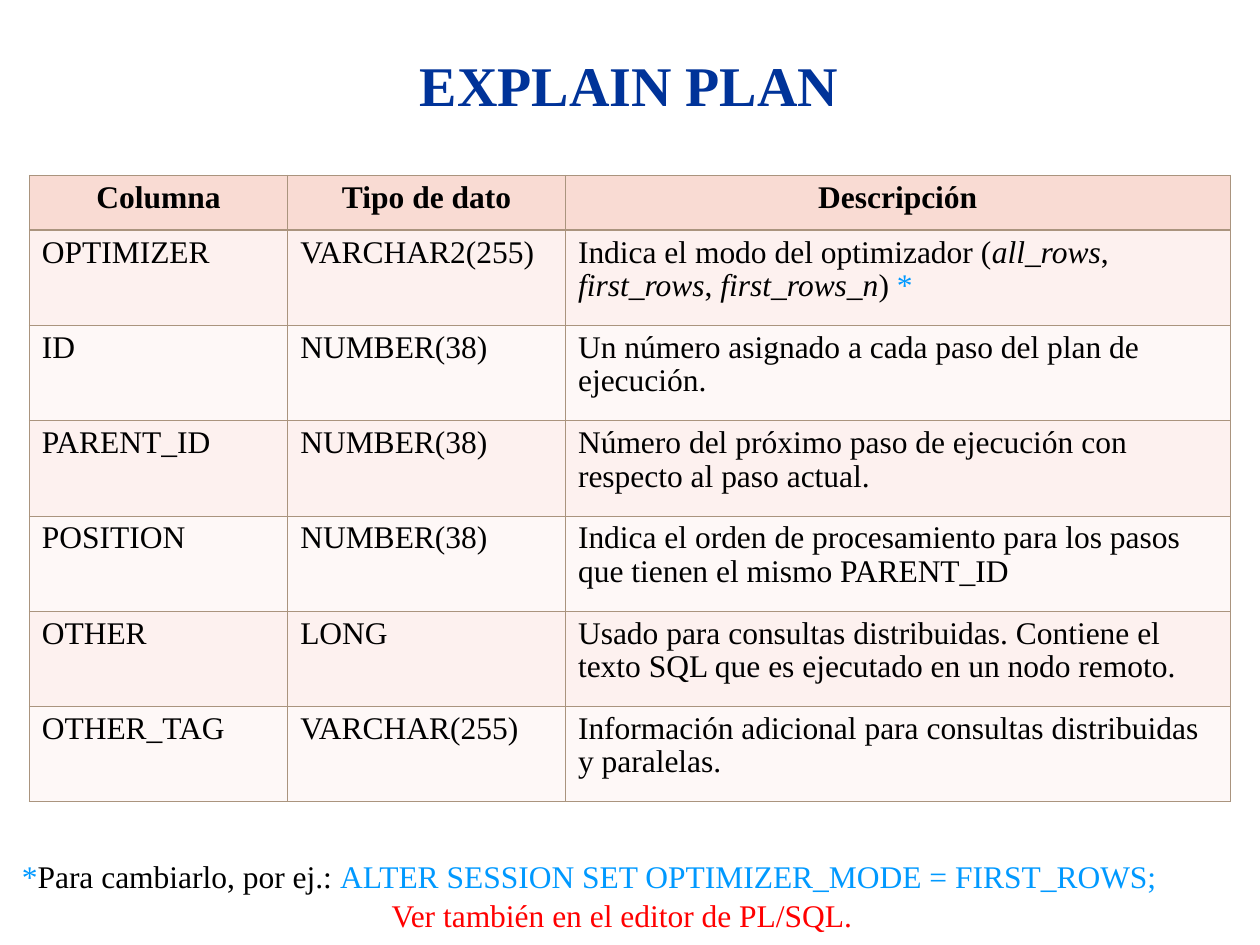
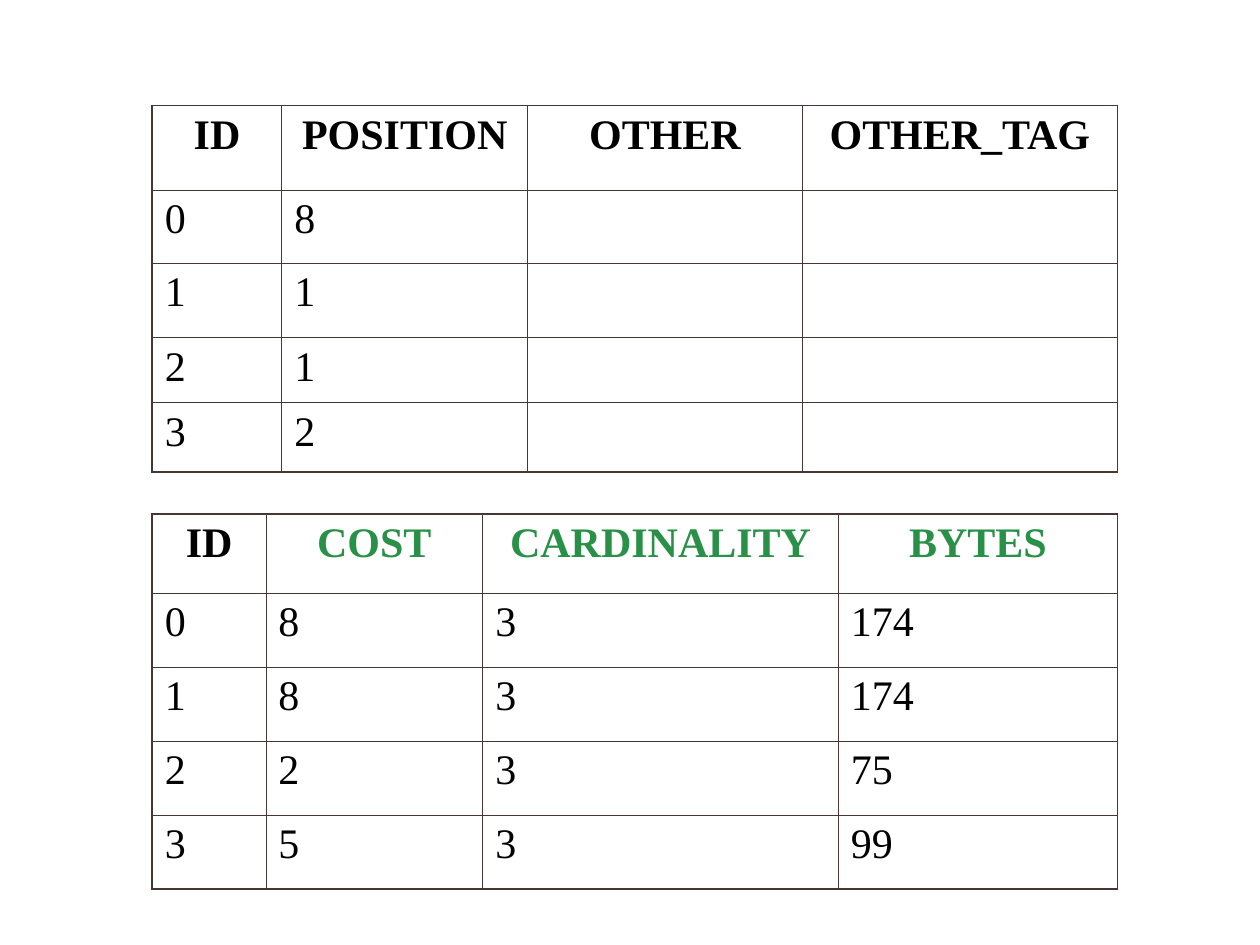
from dataclasses import dataclass
from typing import NamedTuple

from lxml.etree import SubElement
from pptx import Presentation
from pptx.dml.color import RGBColor as Color
from pptx.enum.text import PP_ALIGN as Align
from pptx.oxml.ns import qn
from pptx.util import Cm, Pt


@dataclass(frozen=True)
class Theme:
    font: str = "Times New Roman"
    text: str = "000000"
    title: str = "003399"
    code: str = "0099FF"
    notice: str = "FF0000"
    estimate: str = "299147"
    title_size: int = 32
    body_size: int = 18
    result_size: int = 24


THEME = Theme()


@dataclass(frozen=True)
class TableStyle:
    size: int
    line: str
    outer: float
    header_rule: float
    inner: float = 0.45
    line_spacing: float = 1.0
    header_fill: str = ""
    band_fills: tuple = ("", "")


DICTIONARY_STYLE = TableStyle(
    THEME.body_size, "AA947E", outer=0.45, header_rule=1.47, line_spacing=0.96,
    header_fill="F9DBD3", band_fills=("FDF1EF", "FEF8F7"))
RESULT_STYLE = TableStyle(
    THEME.result_size, "463634", outer=1.08, header_rule=0.45)


class Span(NamedTuple):
    text: str
    color: str = THEME.text
    italic: bool = False


PLAN_COLUMNS = [
    ["Columna", "Tipo de dato", "Descripción"],
    ["OPTIMIZER", "VARCHAR2(255)", [
        Span("Indica el modo del optimizador ("),
        Span("all_rows", italic=True), Span(", "),
        Span("first_rows", italic=True), Span(", "),
        Span("first_rows_n", italic=True), Span(") "),
        Span("*", THEME.code)]],
    ["ID", "NUMBER(38)",
     "Un número asignado a cada paso del plan de ejecución."],
    ["PARENT_ID", "NUMBER(38)",
     "Número del próximo paso de ejecución con respecto al paso actual."],
    ["POSITION", "NUMBER(38)",
     "Indica el orden de procesamiento para los pasos que tienen el mismo PARENT_ID"],
    ["OTHER", "LONG",
     "Usado para consultas distribuidas. Contiene el texto SQL que es ejecutado "
     "en un nodo remoto."],
    ["OTHER_TAG", "VARCHAR(255)",
     "Información adicional para consultas distribuidas y paralelas."],
]

STEP_POSITIONS = [
    ["ID", "POSITION", "OTHER", "OTHER_TAG"],
    ["0", "8", "", ""],
    ["1", "1", "", ""],
    ["2", "1", "", ""],
    ["3", "2", "", ""],
]

STEP_ESTIMATES = [
    ["ID"] + [[Span(name, THEME.estimate)] for name in ("COST", "CARDINALITY", "BYTES")],
    ["0", "8", "3", "174"],
    ["1", "8", "3", "174"],
    ["2", "2", "3", "75"],
    ["3", "5", "3", "99"],
]

FOOTNOTE = [
    ([Span("*", THEME.code), Span("Para cambiarlo, por ej.: "),
      Span("ALTER SESSION SET OPTIMIZER_MODE = FIRST_ROWS;", THEME.code)], Align.LEFT),
    ([Span("Ver también en el editor de PL/SQL.", THEME.notice)], Align.CENTER),
]


def write_paragraph(paragraph, content, size, align=Align.LEFT, bold=False, spacing=1.0):
    paragraph.alignment = align
    paragraph.line_spacing = spacing
    paragraph.font.size = Pt(size)
    spans = [Span(content)] if isinstance(content, str) else content
    for span in spans:
        if not span.text:
            continue
        run = paragraph.add_run()
        run.text = span.text
        run.font.name = THEME.font
        run.font.size = Pt(size)
        run.font.bold = bold
        run.font.italic = span.italic
        run.font.color.rgb = Color.from_string(span.color)


def add_text(slide, left, top, width, height, paragraphs, size, bold=False, spacing=1.0):
    frame = slide.shapes.add_textbox(Cm(left), Cm(top), Cm(width), Cm(height)).text_frame
    frame.word_wrap = True
    for index, (content, align) in enumerate(paragraphs):
        paragraph = frame.add_paragraph() if index else frame.paragraphs[0]
        write_paragraph(paragraph, content, size, align, bold, spacing)


def set_borders(cell, color, weights):
    properties = cell._tc.get_or_add_tcPr()
    for side, weight in weights.items():
        line = SubElement(properties, qn(f"a:ln{side}"), w=str(Pt(weight)))
        fill = SubElement(line, qn("a:solidFill"))
        SubElement(fill, qn("a:srgbClr"), val=color)


def set_fill(cell, color):
    if color:
        cell.fill.solid()
        cell.fill.fore_color.rgb = Color.from_string(color)
    else:
        cell.fill.background()


def add_table(slide, left, top, widths, heights, rows, style):
    table = slide.shapes.add_table(
        len(heights), len(widths), Cm(left), Cm(top),
        Cm(sum(widths)), Cm(sum(heights))).table
    table.first_row = table.horz_banding = False
    for column, width in zip(table.columns, widths):
        column.width = Cm(width)
    for row, height in zip(table.rows, heights):
        row.height = Cm(height)

    def edge_weight(index, count):
        return style.outer if index in (0, count) else style.inner

    row_edges = [edge_weight(index, len(heights)) for index in range(len(heights) + 1)]
    row_edges[1] = style.header_rule
    column_edges = [edge_weight(index, len(widths)) for index in range(len(widths) + 1)]

    for r, row in enumerate(rows):
        header = r == 0
        fill = style.header_fill if header else style.band_fills[(r - 1) % 2]
        for c, content in enumerate(row):
            cell = table.cell(r, c)
            write_paragraph(cell.text_frame.paragraphs[0], content, style.size,
                            Align.CENTER if header else Align.LEFT, header,
                            style.line_spacing)
            set_borders(cell, style.line, {
                "L": column_edges[c], "R": column_edges[c + 1],
                "T": row_edges[r], "B": row_edges[r + 1]})
            set_fill(cell, fill)


def add_columns_slide(presentation):
    slide = presentation.slides.add_slide(presentation.slide_layouts[6])
    add_text(slide, 2.74, 0.84, 19.89, 1.63,
             [([Span("EXPLAIN PLAN", THEME.title)], Align.CENTER)],
             THEME.title_size, bold=True, spacing=1.04)
    add_table(slide, 0.59, 3.53, [5.21, 5.6, 13.4], [1.11] + [1.92] * 6,
              PLAN_COLUMNS, DICTIONARY_STYLE)
    add_text(slide, 0.19, 17.12, 24.7, 1.78, FOOTNOTE, THEME.body_size, spacing=1.04)


def add_results_slide(presentation):
    slide = presentation.slides.add_slide(presentation.slide_layouts[6])
    left = 3.07
    add_table(slide, left, 2.13, [2.61, 4.96, 5.53, 6.36],
              [1.7, 1.47, 1.5, 1.32, 1.4], STEP_POSITIONS, RESULT_STYLE)
    add_table(slide, left, 10.36, [2.29, 4.37, 7.17, 5.63],
              [1.6] + [1.49] * 4, STEP_ESTIMATES, RESULT_STYLE)


def main():
    presentation = Presentation()
    presentation.slide_width = Cm(25.4)
    presentation.slide_height = Cm(19.05)
    add_columns_slide(presentation)
    add_results_slide(presentation)
    presentation.save("out.pptx")


if __name__ == "__main__":
    main()
